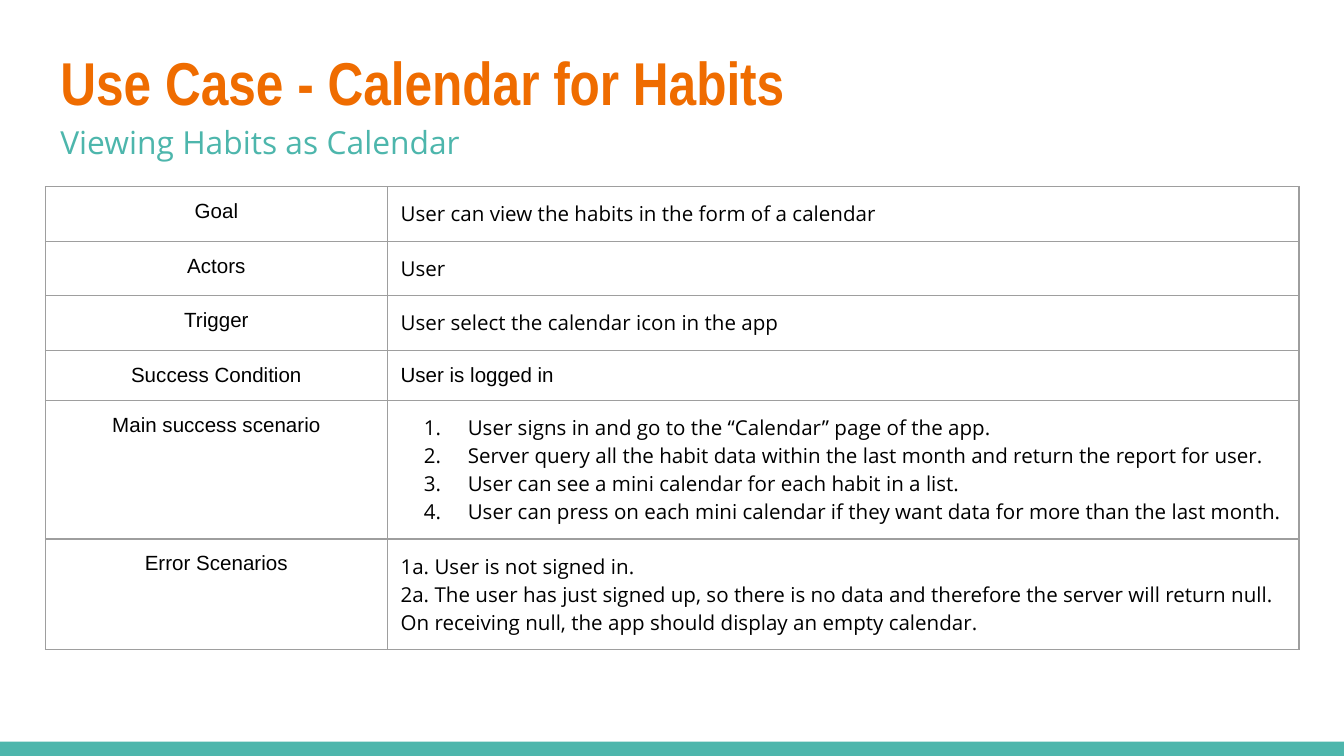
import pptx
import pptx.dml.color
import pptx.enum.shapes
import pptx.enum.text
import pptx.oxml
import pptx.oxml.ns
import pptx.util
from pptx.util import Cm

ORANGE, TEAL, GREY, BLACK, WHITE = "EF6C00", "4DB6AC", "9E9E9E", "000000", "FFFFFF"
INSET = Cm(0.25)
COLUMN_WIDTHS = (6.46, 17.23)
USE_CASE = [
    ("Goal", ["User can view the habits in the form of a calendar"], "Open Sans", 1.03),
    ("Actors", ["User"], "Open Sans", 1.03),
    ("Trigger", ["User select the calendar icon in the app"], "Open Sans", 1.03),
    ("Success Condition", ["User is logged in"], "Arial", 0.95),
    ("Main success scenario", [
        "User signs in and go to the “Calendar” page of the app.",
        "Server query all the habit data within the last month and return the report for user.",
        "User can see a mini calendar for each habit in a list.",
        "User can press on each mini calendar if they want data for more than the last month.",
    ], "Open Sans", 2.61),
    ("Error Scenarios", [
        "1a. User is not signed in.\n2a. The user has just signed up, so there is no data and "
        "therefore the server will return null. On receiving null, the app should display an "
        "empty calendar.",
    ], "Open Sans", 2.09),
]


def color(value):
    """Return the colour for a hex string."""
    return pptx.dml.color.RGBColor.from_string(value)


def format_paragraph(paragraph, font_name, size, font_color, bold=False, alignment="LEFT"):
    """Format a paragraph and its runs."""
    paragraph.alignment = pptx.enum.text.PP_ALIGN[alignment]
    for run in paragraph.runs:
        run.font.name = font_name
        run.font.size = pptx.util.Pt(size)
        run.font.bold = bold
        run.font.color.rgb = color(font_color)


def set_margins(target):
    """Give a text frame or a cell the same inset on all sides."""
    target.margin_left = target.margin_right = INSET
    target.margin_top = target.margin_bottom = INSET


def number_paragraph(paragraph):
    """Turn a paragraph into an item of a numbered list."""
    properties = paragraph._p.get_or_add_pPr()
    properties.set("marL", str(Cm(1.27)))
    properties.set("indent", str(-Cm(0.83)))
    namespace = pptx.oxml.ns.nsdecls("a")
    for markup in (
        f'<a:buClr {namespace}><a:srgbClr val="{BLACK}"/></a:buClr>',
        f'<a:buSzPts {namespace} val="1100"/>',
        f'<a:buFont {namespace} typeface="Open Sans"/>',
        f'<a:buAutoNum {namespace} type="arabicPeriod"/>',
    ):
        properties.append(pptx.oxml.parse_xml(markup))


def set_borders(cell):
    """Draw a thin grey line on every side of a cell."""
    properties = cell._tc.get_or_add_tcPr()
    for position, side in enumerate("LRTB"):
        properties.insert(position, pptx.oxml.parse_xml(
            f'<a:ln{side} {pptx.oxml.ns.nsdecls("a")} w="{pptx.util.Pt(0.75)}">'
            f'<a:solidFill><a:srgbClr val="{GREY}"/></a:solidFill></a:ln{side}>'))


def fill_cell(cell, lines, font_name, alignment="LEFT"):
    """Write lines into a cell, numbering them when there are several."""
    set_margins(cell)
    cell.vertical_anchor = pptx.enum.text.MSO_ANCHOR.TOP
    cell.fill.solid()
    cell.fill.fore_color.rgb = color(WHITE)
    set_borders(cell)
    for index, line in enumerate(lines):
        frame = cell.text_frame
        paragraph = frame.add_paragraph() if index else frame.paragraphs[0]
        paragraph.text = line
        format_paragraph(paragraph, font_name, 11, BLACK, alignment=alignment)
        if len(lines) > 1:
            number_paragraph(paragraph)


def add_heading(slide, left, top, width):
    """Place the title and the subtitle below it."""
    title = slide.shapes.title
    title.left, title.top, title.width, title.height = left, top, width, Cm(1.96)
    subtitle = slide.shapes.add_textbox(left, top + Cm(1.52), width, Cm(1.09))
    for shape, text, anchor, style in (
        (title, "Use Case - Calendar for Habits", "MIDDLE", ("Arial Narrow", 32.4, ORANGE, True)),
        (subtitle, "Viewing Habits as Calendar", "TOP", ("Open Sans", 17, TEAL)),
    ):
        frame = shape.text_frame
        frame.text = text
        frame.word_wrap = True
        frame.auto_size = pptx.enum.text.MSO_AUTO_SIZE.NONE
        frame.vertical_anchor = pptx.enum.text.MSO_ANCHOR[anchor]
        set_margins(frame)
        format_paragraph(frame.paragraphs[0], *style)


def add_use_case_table(slide, left, top):
    """Place the table of use case fields."""
    width = Cm(sum(COLUMN_WIDTHS))
    height = Cm(sum(row[-1] for row in USE_CASE))
    table = slide.shapes.add_table(len(USE_CASE), 2, left, top, width, height).table
    table.first_row = table.horz_banding = False
    for column, column_width in zip(table.columns, COLUMN_WIDTHS):
        column.width = Cm(column_width)
    for index, (label, lines, font_name, row_height) in enumerate(USE_CASE):
        table.rows[index].height = Cm(row_height)
        fill_cell(table.cell(index, 0), [label], "Arial", "CENTER")
        fill_cell(table.cell(index, 1), lines, font_name)


def add_footer_bar(slide, left, top, width, height):
    """Place the coloured bar along the bottom edge."""
    bar = slide.shapes.add_shape(
        pptx.enum.shapes.MSO_SHAPE.RECTANGLE, left, top, width, height)
    bar.shadow.inherit = False
    bar.fill.solid()
    bar.fill.fore_color.rgb = color(TEAL)
    bar.line.fill.background()


def main():
    """Build and save the presentation."""
    presentation = pptx.Presentation()
    presentation.slide_width, presentation.slide_height = Cm(25.4), Cm(14.29)
    slide = presentation.slides.add_slide(presentation.slide_layouts.get_by_name("Title Only"))
    bar_height = Cm(0.27)
    add_footer_bar(slide, 0, presentation.slide_height - bar_height,
                   presentation.slide_width, bar_height)
    add_heading(slide, Cm(0.89), Cm(0.56), Cm(23.65))
    add_use_case_table(slide, Cm(0.86), Cm(3.53))
    presentation.save("out.pptx")


if __name__ == "__main__":
    main()
